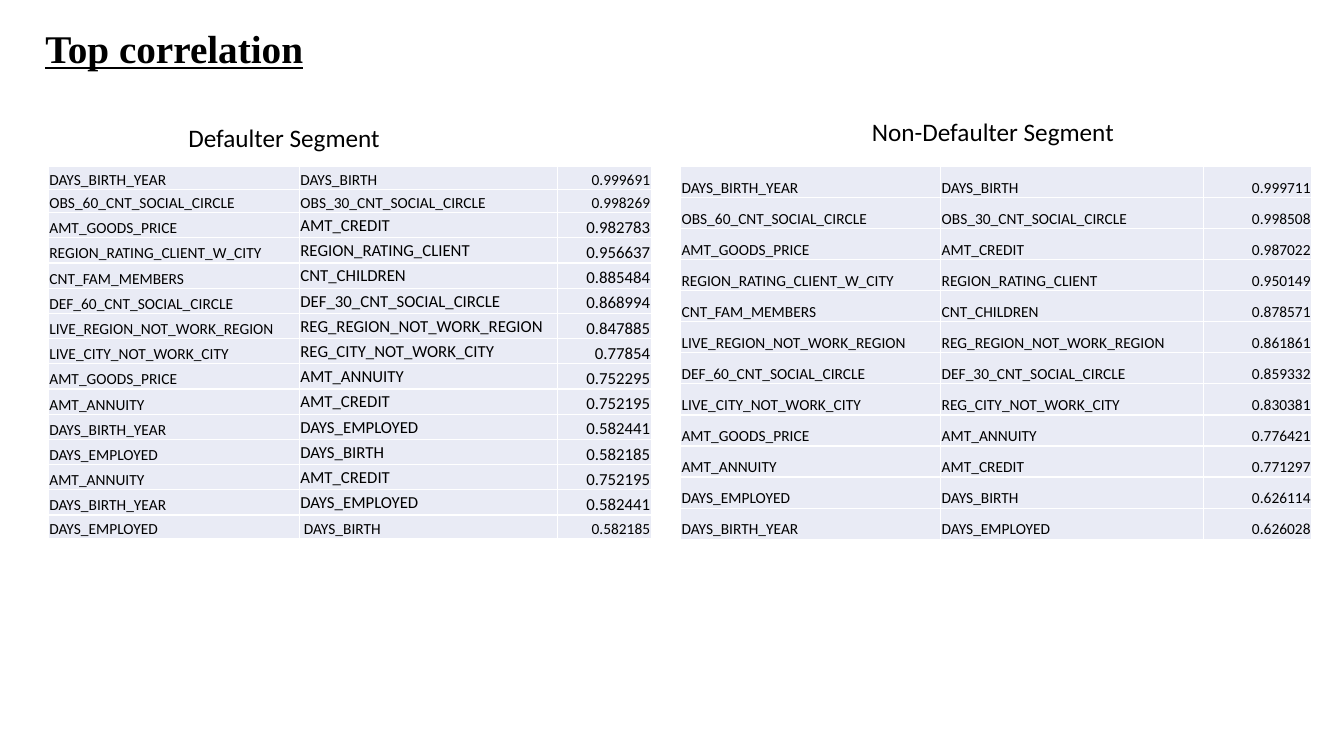
import pptx
import pptx.dml.color
import pptx.enum.text
import pptx.oxml
import pptx.oxml.ns
import pptx.util

Inches = pptx.util.Inches
Pt = pptx.util.Pt
ALIGN = pptx.enum.text.PP_ALIGN
ANCHOR = pptx.enum.text.MSO_ANCHOR

BLACK, WHITE, CELL_FILL = "000000", "FFFFFF", "E9EBF5"
CELL_MARGINS = {
    "margin_left": Inches(0.01),
    "margin_right": Inches(0.01),
    "margin_top": Inches(0.01),
    "margin_bottom": 0,
}

DEFAULTER = [
    ("DAYS_BIRTH_YEAR", "DAYS_BIRTH", "0.999691"),
    ("OBS_60_CNT_SOCIAL_CIRCLE", "OBS_30_CNT_SOCIAL_CIRCLE", "0.998269"),
    ("AMT_GOODS_PRICE", "AMT_CREDIT", "0.982783"),
    ("REGION_RATING_CLIENT_W_CITY", "REGION_RATING_CLIENT", "0.956637"),
    ("CNT_FAM_MEMBERS", "CNT_CHILDREN", "0.885484"),
    ("DEF_60_CNT_SOCIAL_CIRCLE", "DEF_30_CNT_SOCIAL_CIRCLE", "0.868994"),
    ("LIVE_REGION_NOT_WORK_REGION", "REG_REGION_NOT_WORK_REGION", "0.847885"),
    ("LIVE_CITY_NOT_WORK_CITY", "REG_CITY_NOT_WORK_CITY", "0.77854"),
    ("AMT_GOODS_PRICE", "AMT_ANNUITY", "0.752295"),
    ("AMT_ANNUITY", "AMT_CREDIT", "0.752195"),
    ("DAYS_BIRTH_YEAR", "DAYS_EMPLOYED", "0.582441"),
    ("DAYS_EMPLOYED", "DAYS_BIRTH", "0.582185"),
    ("AMT_ANNUITY", "AMT_CREDIT", "0.752195"),
    ("DAYS_BIRTH_YEAR", "DAYS_EMPLOYED", "0.582441"),
    ("DAYS_EMPLOYED", " DAYS_BIRTH", "0.582185"),
]
DEFAULTER_LARGE_ROWS = range(2, 14)

NON_DEFAULTER = [
    ("DAYS_BIRTH_YEAR", "DAYS_BIRTH", "0.999711"),
    ("OBS_60_CNT_SOCIAL_CIRCLE", "OBS_30_CNT_SOCIAL_CIRCLE", "0.998508"),
    ("AMT_GOODS_PRICE", "AMT_CREDIT", "0.987022"),
    ("REGION_RATING_CLIENT_W_CITY", "REGION_RATING_CLIENT", "0.950149"),
    ("CNT_FAM_MEMBERS", "CNT_CHILDREN", "0.878571"),
    ("LIVE_REGION_NOT_WORK_REGION", "REG_REGION_NOT_WORK_REGION", "0.861861"),
    ("DEF_60_CNT_SOCIAL_CIRCLE", "DEF_30_CNT_SOCIAL_CIRCLE", "0.859332"),
    ("LIVE_CITY_NOT_WORK_CITY", "REG_CITY_NOT_WORK_CITY", "0.830381"),
    ("AMT_GOODS_PRICE", "AMT_ANNUITY", "0.776421"),
    ("AMT_ANNUITY", "AMT_CREDIT", "0.771297"),
    ("DAYS_EMPLOYED", "DAYS_BIRTH", "0.626114"),
    ("DAYS_BIRTH_YEAR", "DAYS_EMPLOYED", "0.626028"),
]


def rgb(value):
    return pptx.dml.color.RGBColor.from_string(value)


def set_values(target, values):
    for name, value in values.items():
        setattr(target, name, value)


def write(frame, text, size, font="Calibri", align=ALIGN.LEFT, **styles):
    paragraph = frame.paragraphs[0]
    paragraph.alignment = align
    run = paragraph.add_run()
    run.text = text
    set_values(run.font, {"name": font, "size": Pt(size), **styles})
    run.font.color.rgb = rgb(BLACK)


def add_title(slide, text):
    title = slide.shapes.title
    set_values(title, {"left": Inches(0.35), "top": Inches(0.13),
                       "width": Inches(8.33), "height": Inches(0.75)})
    title.text_frame.vertical_anchor = ANCHOR.MIDDLE
    write(title.text_frame, text, 28, "Times New Roman", bold=True, underline=True)
    title.text_frame.paragraphs[0].line_spacing = 0.9


def add_heading(slide, text, left, top, width):
    box = slide.shapes.add_textbox(Inches(left), Inches(top), Inches(width), Inches(0.4))
    box.text_frame.word_wrap = True
    box.text_frame.auto_size = pptx.enum.text.MSO_AUTO_SIZE.SHAPE_TO_FIT_TEXT
    write(box.text_frame, text, 18)


def add_borders(cell):
    properties = cell._tc.get_or_add_tcPr()
    for side in ("lnL", "lnR", "lnT", "lnB"):
        properties.append(pptx.oxml.parse_xml(
            f'<a:{side} {pptx.oxml.ns.nsdecls("a")} w="{Pt(1)}">'
            f'<a:solidFill><a:srgbClr val="{WHITE}"/></a:solidFill></a:{side}>'))


def fill_cell(cell, text, size, align, anchor):
    add_borders(cell)
    cell.fill.solid()
    cell.fill.fore_color.rgb = rgb(CELL_FILL)
    set_values(cell, {**CELL_MARGINS, "vertical_anchor": anchor})
    write(cell.text_frame, text, size, align=align)


def add_correlations(slide, left, widths, heights, pairs, large_rows=()):
    """Large rows have 12 pt in the last two columns and a middle-anchored second one."""
    table = slide.shapes.add_table(
        len(pairs), len(widths), Inches(left), Inches(1.65),
        Inches(sum(widths)), Inches(sum(heights))).table
    set_values(table, {"first_row": False, "horz_banding": False})
    for column, width in zip(table.columns, widths):
        column.width = Inches(width)
    for row, height in zip(table.rows, heights):
        row.height = Inches(height)
    for r, pair in enumerate(pairs):
        for c, text in enumerate(pair):
            large = r in large_rows and c > 0
            fill_cell(table.cell(r, c), text, 12 if large else 11,
                      ALIGN.RIGHT if c == 2 else ALIGN.LEFT,
                      ANCHOR.MIDDLE if large and c == 1 else ANCHOR.BOTTOM)


def main():
    deck = pptx.Presentation()
    set_values(deck, {"slide_width": Inches(13.33), "slide_height": Inches(7.5)})
    slide = deck.slides.add_slide(deck.slide_layouts[5])
    add_title(slide, "Top correlation")
    defaulter_heights = [0.25 if r in DEFAULTER_LARGE_ROWS else 0.23
                         for r in range(len(DEFAULTER))]
    add_correlations(slide, 0.48, (2.49, 2.56, 0.93), defaulter_heights,
                     DEFAULTER, DEFAULTER_LARGE_ROWS)
    non_defaulter_heights = [3.7 / len(NON_DEFAULTER)] * len(NON_DEFAULTER)
    add_correlations(slide, 6.75, (2.58, 2.61, 1.07), non_defaulter_heights, NON_DEFAULTER)
    add_heading(slide, "Defaulter Segment", 1.77, 1.16, 2.46)
    add_heading(slide, "Non-Defaulter Segment", 8.55, 1.11, 2.83)
    deck.save("out.pptx")


if __name__ == "__main__":
    main()
